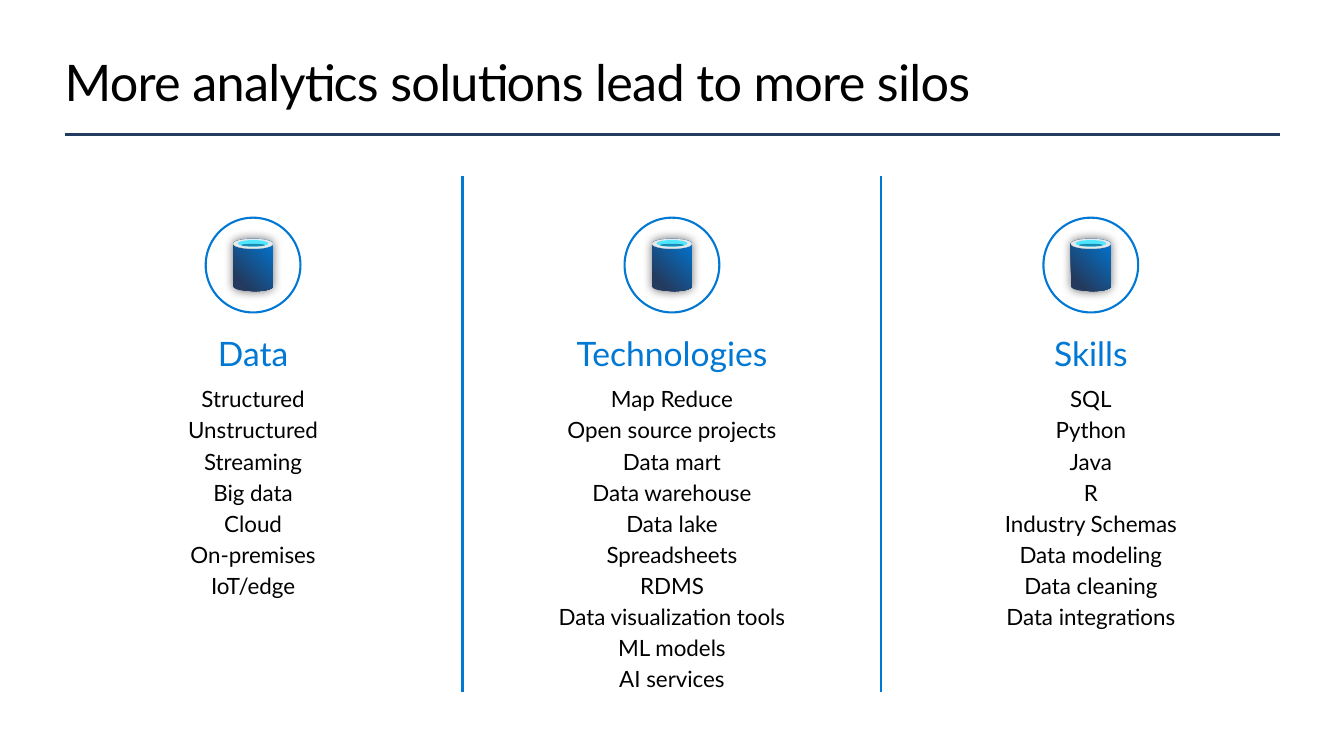
from dataclasses import dataclass

import lxml.etree
import pptx
import pptx.dml.color
import pptx.enum.shapes
import pptx.enum.text
import pptx.oxml.ns
import pptx.util

Pt = pptx.util.Pt
RGB = pptx.dml.color.RGBColor.from_string
SHAPE = pptx.enum.shapes.MSO_SHAPE
ALIGN = pptx.enum.text.PP_ALIGN
ANCHOR = pptx.enum.text.MSO_ANCHOR
qn = pptx.oxml.ns.qn


@dataclass(frozen=True)
class Theme:
    font: str = "Lato"
    text: str = "000000"
    accent: str = "0078D4"
    navy: str = "243A5E"
    rim: str = "E8E8E8"
    water: str = "50E6FF"
    depth: str = "198AB3"
    title_size: int = 36
    heading_size: int = 24
    item_size: int = 16


THEME = Theme()

COLUMNS = [
    ("Data", ["Structured", "Unstructured", "Streaming", "Big data", "Cloud",
              "On-premises", "IoT/edge"]),
    ("Technologies", ["Map Reduce", "Open source projects", "Data mart",
                      "Data warehouse", "Data lake", "Spreadsheets", "RDMS",
                      "Data visualization tools", "ML models", "AI services"]),
    ("Skills", ["SQL", "Python", "Java", "R", "Industry Schemas",
                "Data modeling", "Data cleaning", "Data integrations"]),
]


def add_line(s, x1, y1, x2, y2, color, width):
    line = s.shapes.add_connector(pptx.enum.shapes.MSO_CONNECTOR.STRAIGHT,
                                  Pt(x1), Pt(y1), Pt(x2), Pt(y2))
    line.line.color.rgb = RGB(color)
    line.line.width = Pt(width)
    lxml.etree.SubElement(line._element.spPr, qn("a:effectLst"))


def add_centered(s, kind, cx, top, w, h, fill=None, outline=None):
    sp = s.shapes.add_shape(kind, Pt(cx - w / 2), Pt(top), Pt(w), Pt(h))
    sp.shadow.inherit = False
    if fill:
        sp.fill.solid()
        sp.fill.fore_color.rgb = RGB(fill)
    else:
        sp.fill.background()
    if outline:
        sp.line.color.rgb = RGB(outline)
        sp.line.width = Pt(1.5)
    else:
        sp.line.fill.background()
    return sp


def add_run(p, text, size, color):
    r = p.add_run()
    r.text = text
    r.font.name = THEME.font
    r.font.size = Pt(size)
    r.font.color.rgb = RGB(color)
    return r


def add_glow(sp):
    effects = sp._element.spPr.find(qn("a:effectLst"))
    shadow = lxml.etree.SubElement(effects, qn("a:outerShdw"),
                                   blurRad=str(Pt(7)), algn="ctr", rotWithShape="0")
    color = lxml.etree.SubElement(shadow, qn("a:srgbClr"), val=THEME.text)
    lxml.etree.SubElement(color, qn("a:alpha"), val="56000")


def add_title(s, text, x, y, w, h):
    sp = s.shapes.title
    sp.left, sp.top, sp.width, sp.height = Pt(x), Pt(y), Pt(w), Pt(h)
    tf = sp.text_frame
    tf.margin_left = tf.margin_right = tf.margin_top = tf.margin_bottom = 0
    tf.vertical_anchor = ANCHOR.MIDDLE
    tf.auto_size = pptx.enum.text.MSO_AUTO_SIZE.NONE
    p = tf.paragraphs[0]
    p.alignment = ALIGN.LEFT
    r = add_run(p, text, THEME.title_size, THEME.text)
    r.font._element.set("spc", "-50")
    add_line(s, x, y + 59.8, x + 868.3, y + 59.8, THEME.navy, 2)


def add_silo(s, cx, top):
    add_centered(s, SHAPE.OVAL, cx, top, 67.7, 67.7, outline=THEME.accent)
    can = add_centered(s, SHAPE.CAN, cx, top + 15.1, 28.4, 37.6)
    can.fill.gradient()
    can.fill.gradient_angle = 45
    stops = ((0.17, THEME.navy), (1, THEME.accent))
    for stop, (position, color) in zip(can.fill.gradient_stops, stops):
        stop.position = position
        stop.color.rgb = RGB(color)
    add_glow(can)
    for dy, w, h, color in ((15.1, 28.4, 7.1, THEME.rim),
                            (16, 21.8, 4.7, THEME.water),
                            (18.7, 17.3, 1.8, THEME.depth)):
        add_centered(s, SHAPE.OVAL, cx, top + dy, w, h, fill=color)


def add_column(s, heading, items, x, y, w):
    cx = x + w / 2
    add_silo(s, cx, y + 29.5)
    box_w = 205.2
    box = s.shapes.add_textbox(Pt(cx - box_w / 2), Pt(y + 97.2), Pt(box_w), Pt(259.2))
    tf = box.text_frame
    tf.word_wrap = True
    tf.margin_left = tf.margin_right = tf.margin_top = Pt(14.4)
    tf.margin_bottom = Pt(11.5)
    p = tf.paragraphs[0]
    p.alignment = ALIGN.CENTER
    p.space_after = Pt(6)
    add_run(p, heading, THEME.heading_size, THEME.accent)
    for item in items:
        p = tf.add_paragraph()
        p.alignment = ALIGN.CENTER
        p.space_before = Pt(3)
        add_run(p, item, THEME.item_size, THEME.text)


def add_columns(s, columns, x, y, w, h):
    pitch = w / len(columns)
    for i, (heading, items) in enumerate(columns):
        left = x + i * pitch
        if i:
            add_line(s, left, y, left, y + h, THEME.accent, 1.5)
        add_column(s, heading, items, left, y, pitch)


def main():
    prs = pptx.Presentation()
    prs.slide_width, prs.slide_height = Pt(960), Pt(540)
    s = prs.slides.add_slide(prs.slide_layouts.get_by_name("Title Only"))
    add_title(s, "More analytics solutions lead to more silos", 46.1, 36, 867.6, 43.9)
    add_columns(s, COLUMNS, 31.2, 126, 897.6, 368.6)
    prs.save("out.pptx")


if __name__ == "__main__":
    main()
